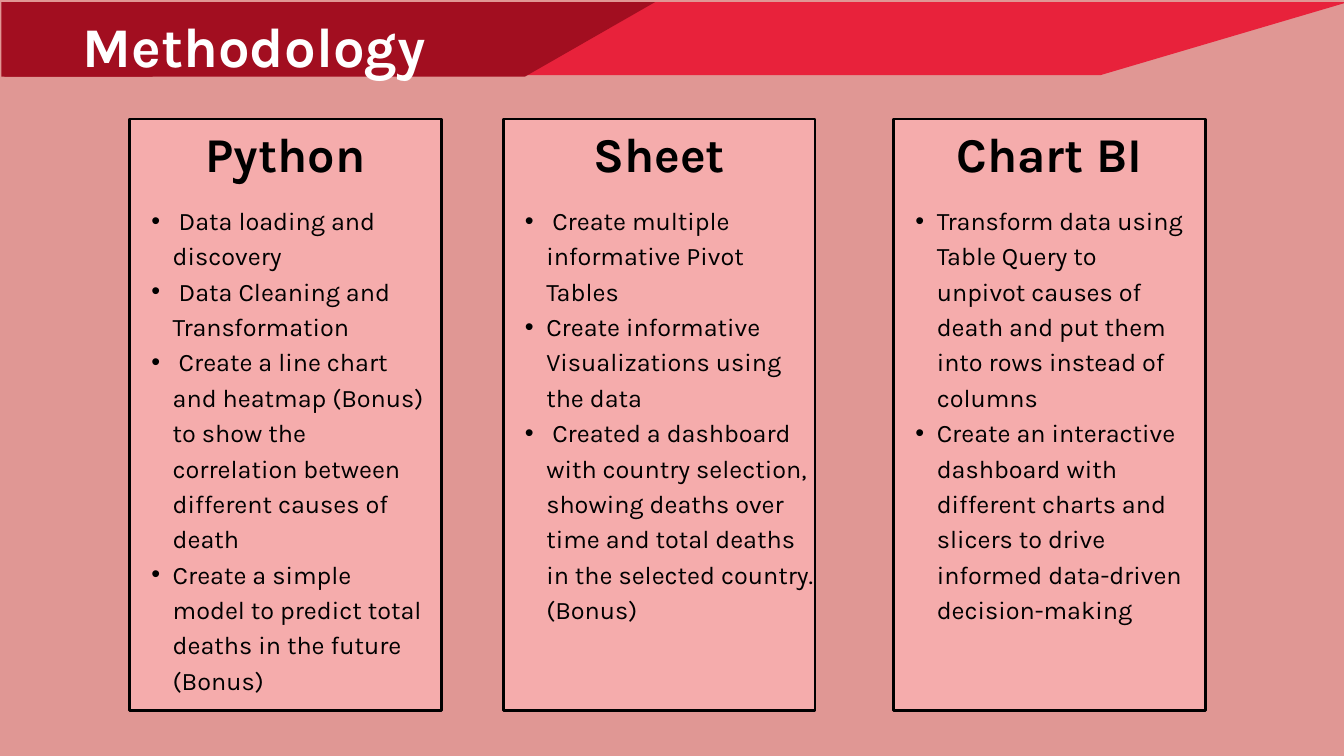
from dataclasses import dataclass

from lxml.etree import SubElement
from pptx import Presentation
from pptx.dml.color import RGBColor
from pptx.enum.shapes import MSO_SHAPE
from pptx.enum.text import MSO_ANCHOR, MSO_AUTO_SIZE, PP_ALIGN
from pptx.oxml.ns import qn
from pptx.util import Cm, Pt


@dataclass(frozen=True)
class Theme:
    font: str = "Karla"
    background: RGBColor = RGBColor(0xE0, 0x97, 0x94)
    card: RGBColor = RGBColor(0xF5, 0xAC, 0xAC)
    bright_red: RGBColor = RGBColor(0xE8, 0x22, 0x3B)
    dark_red: RGBColor = RGBColor(0xA2, 0x0E, 0x20)
    black: RGBColor = RGBColor(0, 0, 0)
    white: RGBColor = RGBColor(0xFF, 0xFF, 0xFF)
    title_size: Pt = Pt(60)
    heading_size: Pt = Pt(52)
    body_size: Pt = Pt(27)


theme = Theme()


def paint(shape, color, outline=None):
    shape.shadow.inherit = False
    shape.fill.solid()
    shape.fill.fore_color.rgb = color
    if outline is None:
        shape.line.fill.background()
    else:
        shape.line.color.rgb = outline
        shape.line.width = Pt(3)


def write(holder, lines, size, color, spacing, bold=False, align=PP_ALIGN.CENTER,
          bullet=False, fit=MSO_AUTO_SIZE.SHAPE_TO_FIT_TEXT):
    frame = holder.text_frame
    frame_format = {"margin_left": 0, "margin_top": 0, "margin_right": 0,
                    "margin_bottom": 0, "word_wrap": True, "auto_size": fit,
                    "vertical_anchor": MSO_ANCHOR.TOP}
    for name, value in frame_format.items():
        setattr(frame, name, value)
    frame.text = "\n".join(lines)
    font_format = {"name": theme.font, "size": size, "bold": bold}
    for paragraph in frame.paragraphs:
        paragraph.alignment = align
        paragraph.line_spacing = spacing
        font = paragraph.runs[0].font
        for name, value in font_format.items():
            setattr(font, name, value)
        font.color.rgb = color
        if bullet:
            paragraph.level = 1
            properties = paragraph._p.get_or_add_pPr()
            properties.set("marL", str(Cm(1.63)))
            properties.set("indent", str(-Cm(0.81)))
            SubElement(properties, qn("a:buFont"), typeface="Arial")
            SubElement(properties, qn("a:buChar"), char="•")


deck = Presentation()
deck.slide_width, deck.slide_height = Cm(50.8), Cm(28.58)
slide = deck.slides.add_slide(deck.slide_layouts[5])
slide.background.fill.solid()
slide.background.fill.fore_color.rgb = theme.background
shapes = slide.shapes

# Tool cards: heading, left edge, heading width, list width, steps
cards = [
    ("Python", 4.9, 7.95, 11.13, [
        " Data loading and discovery",
        " Data Cleaning and Transformation",
        " Create a line chart and heatmap (Bonus) to show the correlation "
        "between different causes of death",
        "Create a simple model to predict total deaths in the future (Bonus)",
    ]),
    ("Sheet", 19.02, 7.95, 11.79, [
        " Create multiple informative Pivot Tables",
        "Create informative Visualizations using the data",
        " Created a dashboard with country selection, showing deaths over time "
        "and total deaths in the selected country. (Bonus)",
    ]),
    ("Chart BI", 33.78, 8.48, 11, [
        "Transform data using Table Query to unpivot causes of death and put "
        "them into rows instead of columns",
        "Create an interactive dashboard with different charts and slicers to "
        "drive informed data-driven decision-making",
    ]),
]
card_width = 11.79
for tool, left, heading_width, list_width, steps in cards:
    card = shapes.add_shape(MSO_SHAPE.RECTANGLE, Cm(left), Cm(4.5),
                            Cm(card_width), Cm(22.35))
    paint(card, theme.card, theme.black)

    step_list = shapes.add_textbox(Cm(left), Cm(7.57), Cm(list_width), Cm(19.86))
    write(step_list, steps, theme.body_size, theme.black, Pt(37.9),
          align=PP_ALIGN.LEFT, bullet=True)

    heading_left = left + (card_width - heading_width) / 2
    heading = shapes.add_textbox(Cm(heading_left), Cm(4.32),
                                 Cm(heading_width), Cm(2.46))
    write(heading, [tool], theme.heading_size, theme.black, Pt(72.8), bold=True)

# Header band: bright trapezoid behind the dark slanted panel
band_corners = [(4.32, 0.08), (50.95, 0.08), (41.6, 2.84), (13.69, 2.84)]
points = [(Cm(x), Cm(y)) for x, y in band_corners]
outline = shapes.build_freeform(*points[0])
outline.add_line_segments(points[1:], close=True)
paint(outline.convert_to_shape(), theme.bright_red)

for preset, left, width in [(MSO_SHAPE.FLOWCHART_DATA, 0.15, 24.61),
                            (MSO_SHAPE.RECTANGLE, 0.05, 5.72)]:
    panel = shapes.add_shape(preset, Cm(left), Cm(0.08), Cm(width), Cm(2.82))
    paint(panel, theme.dark_red)

# Title, brought in front of the band
title = shapes.title
title_place = {"left": Cm(1.47), "top": Cm(0), "width": Cm(15.75), "height": Cm(2.84)}
for name, value in title_place.items():
    setattr(title, name, value)
write(title, [" Methodology"], theme.title_size, theme.white, Pt(84), bold=True,
      fit=MSO_AUTO_SIZE.NONE)
title.element.getparent().append(title.element)

deck.save("out.pptx")
